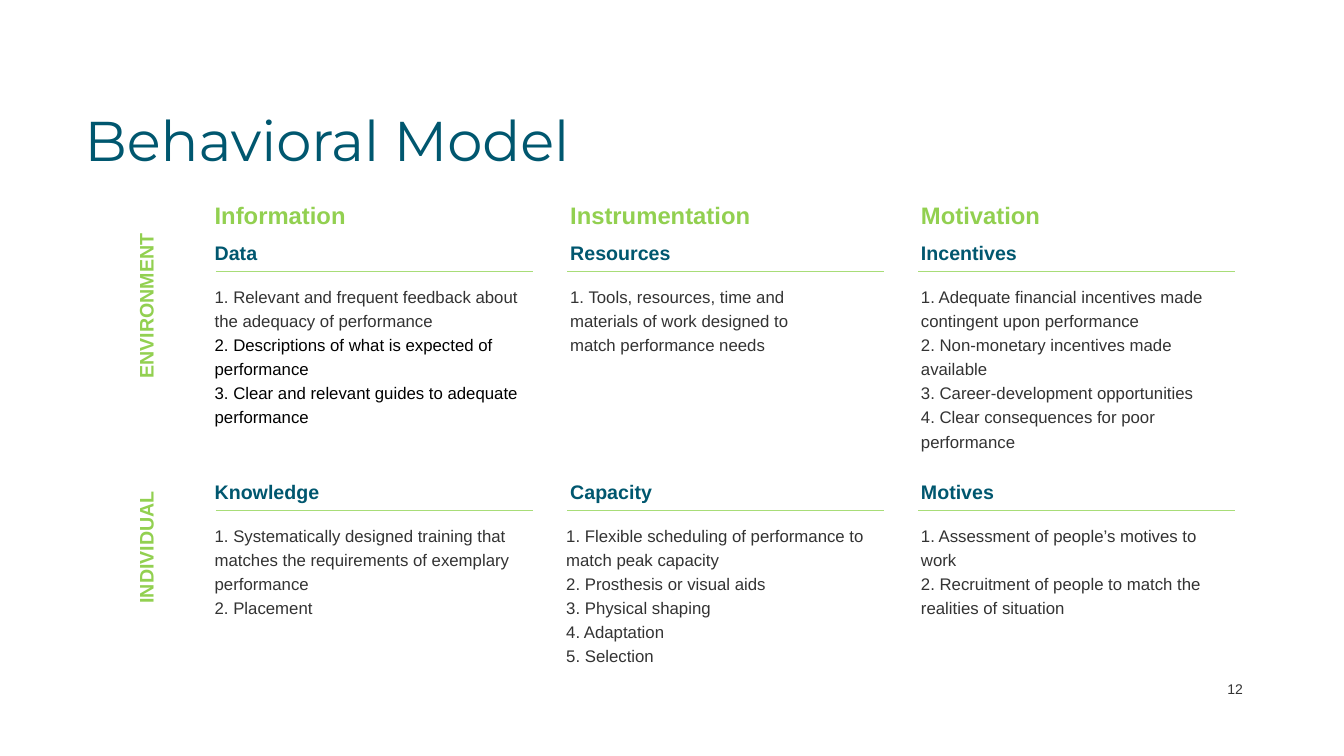
from lxml import etree
from pptx import Presentation
from pptx.dml.color import RGBColor
from pptx.enum import shapes, text
from pptx.oxml import ns
from pptx.util import Cm, Pt

COLORS = {
    "title": "00576F",
    "accent": "92D050",
    "rule": "A8DD78",
    "body": "333333",
    "black": "000000",
}
ROW_TOPS = [5.84, 11.86]
LABEL_WIDTH = 5.54
LABEL_HEIGHT = 0.99
RULE_LEFT = 5.44
RULE_PITCH = 8.85
RULE_WIDTH = 7.98

ROW_LABELS = [("ENVIRONMENT", 6.53), ("INDIVIDUAL", 12.19)]
COLUMNS = [
    ("Information", 5.16, [
        ("Data", (0, 8.28, 3.94), [
            "1. Relevant and frequent feedback about the adequacy of performance",
            "2. Descriptions of what is expected of performance",
            "3. Clear and relevant guides to adequate performance",
        ], "black"),
        ("Knowledge", (0, 8.28, 2.72), [
            "1. Systematically designed training that matches the requirements "
            "of exemplary performance",
            "2. Placement",
        ], "body"),
    ]),
    ("Instrumentation", 14.12, [
        ("Resources", (0, 7.21, 2.11), [
            "1. Tools, resources, time and materials of work designed to "
            "match performance needs",
        ], "body"),
        ("Capacity", (-0.1, 8.28, 3.94), [
            "1. Flexible scheduling of performance to match peak capacity",
            "2. Prosthesis or visual aids",
            "3. Physical shaping",
            "4. Adaptation",
            "5. Selection",
        ], "body"),
    ]),
    ("Motivation", 22.96, [
        ("Incentives", (0, 8.28, 4.52), [
            "1. Adequate financial incentives made contingent upon performance",
            "2. Non-monetary incentives made available",
            "3. Career-development opportunities",
            "4. Clear consequences for poor performance",
        ], "body"),
        ("Motives", (0, 8.28, 2.72), [
            "1. Assessment of people’s motives to work",
            "2. Recruitment of people to match the realities of situation",
        ], "body"),
    ]),
]


def color(name):
    return RGBColor.from_string(COLORS[name])


def style(para, size, ink, bold=False, face="Arial", spacing=1.2):
    para.line_spacing = spacing
    for span in para.runs:
        span.font.name = face
        span.font.size = Pt(size)
        span.font.bold = bold
        span.font.color.rgb = color(ink)


def add_text(page, place, lines, size, ink, bold=False, spacing=1.2):
    box = page.shapes.add_textbox(*map(Cm, place))
    frame = box.text_frame
    frame.word_wrap = True
    frame.auto_size = text.MSO_AUTO_SIZE.SHAPE_TO_FIT_TEXT
    frame.text = "\n".join(lines)
    for para in frame.paragraphs:
        style(para, size, ink, bold, spacing=spacing)
    return box


def add_rule(page, left, top):
    rule = page.shapes.add_connector(
        shapes.MSO_CONNECTOR.STRAIGHT,
        Cm(left), Cm(top), Cm(left + RULE_WIDTH), Cm(top))
    rule.line.color.rgb = color("rule")
    rule.line.width = Pt(0.75)
    etree.SubElement(rule.element.spPr, ns.qn("a:effectLst"))


def add_title(page, left, top, width, height):
    title = page.shapes.title
    title.left, title.top = Cm(left), Cm(top)
    title.width, title.height = Cm(width), Cm(height)
    frame = title.text_frame
    frame.text = "Behavioral Model"
    frame.word_wrap = True
    frame.auto_size = text.MSO_AUTO_SIZE.NONE
    frame.vertical_anchor = text.MSO_ANCHOR.MIDDLE
    para = frame.paragraphs[0]
    para.alignment = text.PP_ALIGN.LEFT
    style(para, 40, "title", face="Montserrat", spacing=0.8)


def add_cell(page, left, top, rule_left, cell):
    heading, (shift, width, height), items, later_ink = cell
    add_text(page, (left, top, LABEL_WIDTH, LABEL_HEIGHT),
             [heading], 14, "title", bold=True)
    add_rule(page, rule_left, top + 1)
    body = add_text(page, (left + shift, top + 1.15, width, height),
                    items, 12, "body")
    for para in body.text_frame.paragraphs[1:]:
        style(para, 12, later_ink)


def add_column(page, left, top, rule_left, heading, cells):
    add_text(page, (left, top, LABEL_WIDTH, 1.12),
             [heading], 17, "accent", bold=True)
    for row_top, cell in zip(ROW_TOPS, cells):
        add_cell(page, left, row_top, rule_left, cell)


def add_row_label(page, left, top, label):
    box = add_text(page, (left, top, LABEL_WIDTH, LABEL_HEIGHT),
                   [label], 14, "accent", bold=True)
    box.rotation = 270


def main():
    deck = Presentation()
    deck.slide_width, deck.slide_height = Cm(33.87), Cm(19.05)
    page = deck.slides.add_slide(deck.slide_layouts.get_by_name("Title Only"))
    add_title(page, 1.88, 2.84, 24.77, 1.65)
    for index, (heading, left, cells) in enumerate(COLUMNS):
        rule_left = RULE_LEFT + index * RULE_PITCH
        add_column(page, left, 4.8, rule_left, heading, cells)
    for label, top in ROW_LABELS:
        add_row_label(page, 0.86, top, label)
    add_text(page, (30.68, 17.02, 2.41, 0.69), ["12"], 10, "body", spacing=1.0)
    deck.save("out.pptx")


if __name__ == "__main__":
    main()
